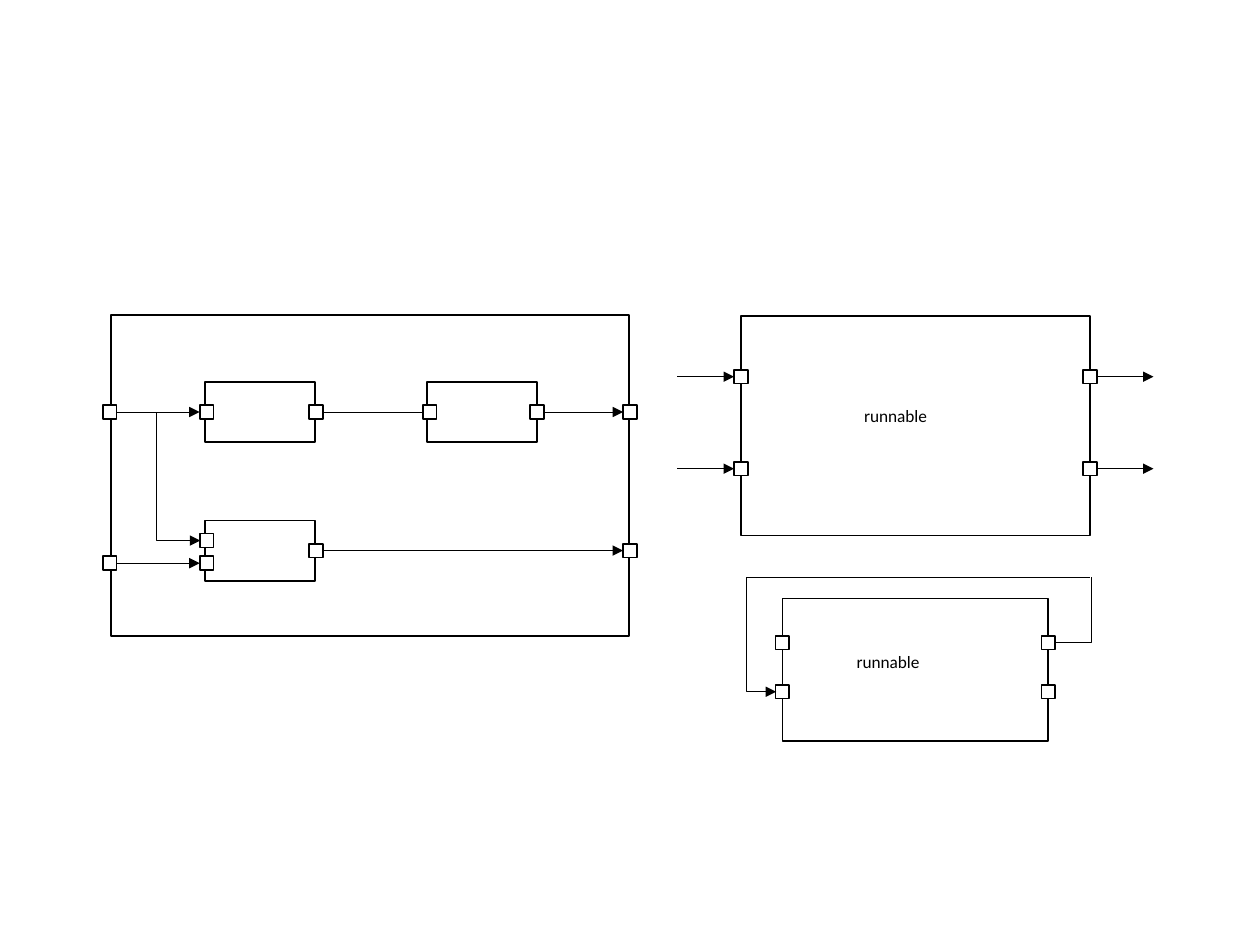
"""Build a block diagram of runnables whose ports are wired together."""
from lxml import etree
from pptx import Presentation
from pptx.dml.color import RGBColor
from pptx.enum import shapes, text
from pptx.oxml.ns import qn
from pptx.util import Inches, Pt

THEME = dict(ink=RGBColor(0, 0, 0), port=RGBColor(255, 255, 255), font="Calibri",
             label=9.9, outline=1, wire=0.5)
PORT = 0.11

BLOCKS = [
    (0.88, 2.5, 4.11, 2.55),
    (1.63, 3.03, 0.87, 0.48),
    (3.39, 3.03, 0.87, 0.48),
    (1.63, 4.13, 0.87, 0.48),
    (5.88, 2.51, 2.77, 1.74),
    (6.21, 4.75, 2.11, 1.13),
]
PORT_CENTRES = {
    "system in 1": (0.87, 3.27), "system in 2": (0.87, 4.47),
    "system out 1": (5.0, 3.27), "system out 2": (5.0, 4.37),
    "first in": (1.64, 3.27), "first out": (2.51, 3.27),
    "second in": (3.41, 3.27), "second out": (4.26, 3.27),
    "third in 1": (1.64, 4.29), "third in 2": (1.64, 4.47), "third out": (2.51, 4.37),
    "runnable in 1": (5.88, 2.99), "runnable in 2": (5.88, 3.72),
    "runnable out 1": (8.65, 2.99), "runnable out 2": (8.65, 3.72),
    "loop in 1": (6.21, 5.1), "loop in 2": (6.21, 5.49),
    "loop out 1": (8.32, 5.1), "loop out 2": (8.32, 5.49),
}
WIRES = [
    ("system in 1", "first in", True),
    ("first out", "second in", False),
    ("second out", "system out 1", True),
    ("system in 2", "third in 2", True),
    ("third out", "system out 2", True),
]
OPEN_WIRE = 0.45
ELBOWS = [
    ((1.24, 3.27), (1.59, 4.29), 1.24, True),
    ((8.37, 5.1), (8.66, 4.58), 8.66, False),
    ((8.65, 4.58), (6.16, 5.49), 5.92, True),
]
LABELS = [("runnable", 6.76, 3.17), ("runnable", 6.7, 5.12)]


def add_box(slide, left, top, width, height, fill=None):
    """Add an outlined rectangle, hollow unless a fill is given."""
    box = slide.shapes.add_shape(shapes.MSO_SHAPE.RECTANGLE,
                                 *map(Inches, (left, top, width, height)))
    box.shadow.inherit = False
    if fill is None:
        box.fill.background()
    else:
        box.fill.solid()
        box.fill.fore_color.rgb = fill
    box.line.color.rgb = THEME["ink"]
    box.line.width = Pt(THEME["outline"])
    return box


def add_wire(slide, start, end, arrow=True, bend=None):
    """Add a straight wire, or an elbow whose upright runs at x = bend."""
    kind = shapes.MSO_CONNECTOR.STRAIGHT if bend is None else shapes.MSO_CONNECTOR.ELBOW
    wire = slide.shapes.add_connector(kind, *map(Inches, (*start, *end)))
    wire.line.color.rgb = THEME["ink"]
    wire.line.width = Pt(THEME["wire"])
    properties = wire._element.spPr
    if arrow:
        etree.SubElement(wire.line._get_or_add_ln(), qn("a:tailEnd"), type="triangle")
    etree.SubElement(properties, qn("a:effectLst"))
    if bend is not None:
        share = round((bend - start[0]) / (end[0] - start[0]) * 100000)
        guides = properties.find(qn("a:prstGeom")).get_or_add_avLst()
        etree.SubElement(guides, qn("a:gd"), name="adj1", fmla=f"val {share}")
    return wire


def add_label(slide, words, left, top, width=1.22, height=0.27, size=THEME["label"],
              color=THEME["ink"], align=text.PP_ALIGN.LEFT):
    """Add a wrapped text box holding one formatted line."""
    frame = slide.shapes.add_textbox(*map(Inches, (left, top, width, height))).text_frame
    frame.word_wrap = True
    line = frame.paragraphs[0]
    line.text, line.alignment = words, align
    line.font.name, line.font.size = THEME["font"], Pt(size)
    line.font.color.rgb = color


def main():
    """Draw blocks, ports, wires and labels, then save."""
    deck = Presentation()
    deck.slide_width, deck.slide_height = Inches(10), Inches(7.5)
    slide = deck.slides.add_slide(deck.slide_layouts[6])

    for block in BLOCKS:
        add_box(slide, *block)
    ports = {name: add_box(slide, x - PORT / 2, y - PORT / 2, PORT, PORT, THEME["port"])
             for name, (x, y) in PORT_CENTRES.items()}

    for source, target, arrow in WIRES:
        wire = add_wire(slide, PORT_CENTRES[source], PORT_CENTRES[target], arrow)
        wire.begin_connect(ports[source], 3)
        wire.end_connect(ports[target], 1)
    for number in (1, 2):
        entry, leaving = f"runnable in {number}", f"runnable out {number}"
        x, y = PORT_CENTRES[entry]
        edge = x - PORT / 2
        add_wire(slide, (edge - OPEN_WIRE, y), (edge, y)).end_connect(ports[entry], 1)
        x, y = PORT_CENTRES[leaving]
        edge = x + PORT / 2
        add_wire(slide, (edge, y), (edge + OPEN_WIRE, y)).begin_connect(ports[leaving], 3)
    for start, end, bend, arrow in ELBOWS:
        add_wire(slide, start, end, arrow, bend)

    for label in LABELS:
        add_label(slide, *label)
    deck.save("out.pptx")


if __name__ == "__main__":
    main()
